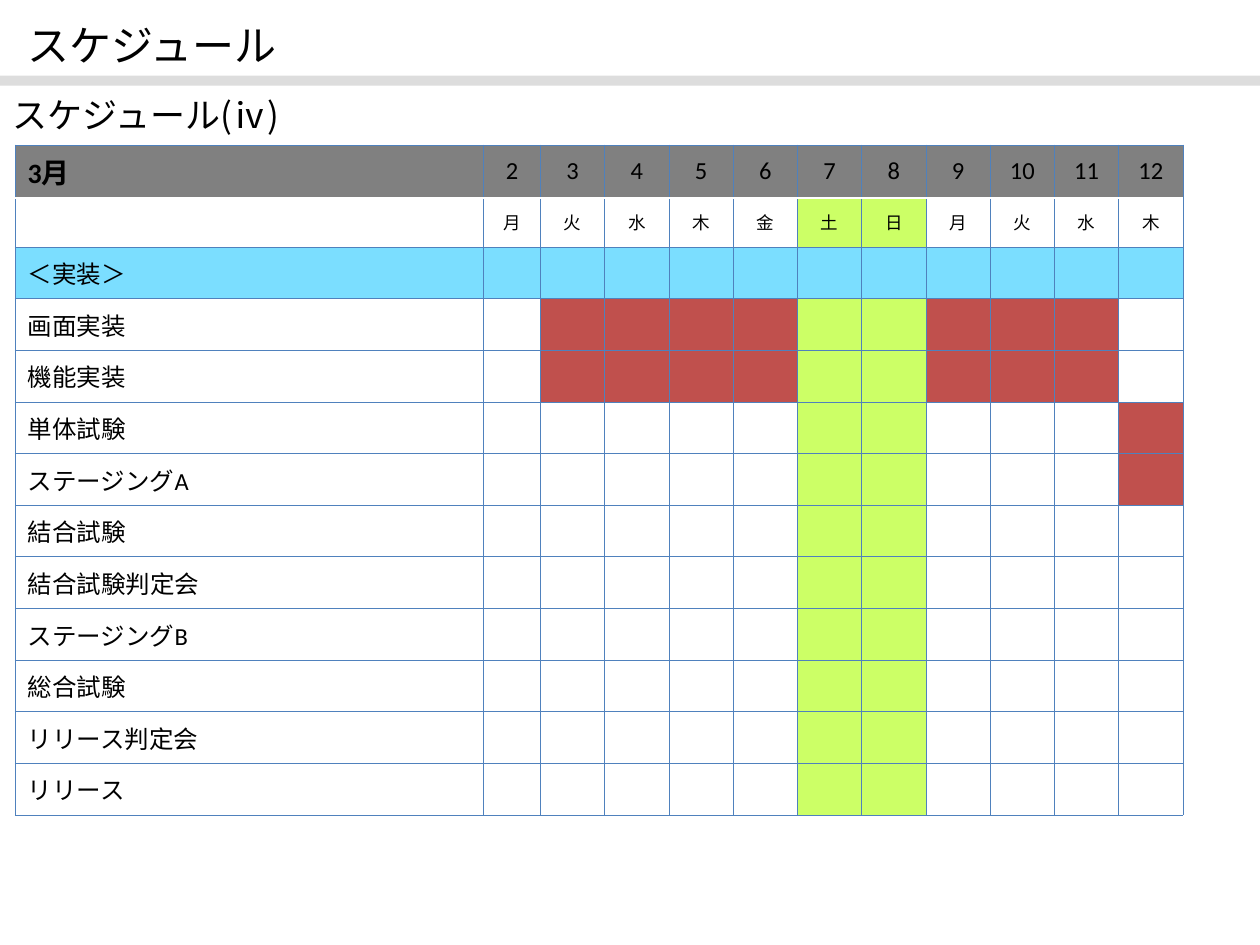
"""Builds the March schedule slide with its task calendar table."""
from dataclasses import dataclass

from lxml import etree
from pptx import Presentation
from pptx.dml.color import RGBColor
from pptx.enum.shapes import MSO_SHAPE
from pptx.enum.text import MSO_ANCHOR, MSO_AUTO_SIZE, PP_ALIGN
from pptx.oxml.ns import qn
from pptx.util import Inches, Pt

LEFT, CENTER = PP_ALIGN.LEFT, PP_ALIGN.CENTER
MIDDLE = MSO_ANCHOR.MIDDLE
NO_AUTOFIT = MSO_AUTO_SIZE.NONE
RECTANGLE = MSO_SHAPE.RECTANGLE
LATIN_FONT, JAPANESE_FONT = "Calibri", "Noto Sans CJK JP"
COLORS = {
    "text": "000000", "white": "FFFFFF", "header": "808080", "grid": "4F81BD",
    "section": "7BDEFF", "weekend": "CCFF66", "work": "C0504D", "rule": "DDDDDD",
}
DAYS = range(2, 13)
WEEKDAYS = "月火水木金土日"
WEEKEND = (7, 8)
BUILD_DAYS = (3, 4, 5, 6, 9, 10, 11)
COLUMN_WIDTHS = [3.72, 0.45] + [0.51] * 10
ROW_HEIGHTS = [0.41, 0.39] + [0.41] * 11


@dataclass
class Task:
    name: str
    work_days: tuple[int, ...] = ()


@dataclass
class CellStyle:
    fill: str = "white"
    size: float = 14
    bold: bool = False
    align: PP_ALIGN = LEFT
    top: str = "grid"
    bottom: str = "grid"


TASKS = [
    Task("画面実装", BUILD_DAYS),
    Task("機能実装", BUILD_DAYS),
    Task("単体試験", (12,)),
    Task("ステージングA", (12,)),
    Task("結合試験"),
    Task("結合試験判定会"),
    Task("ステージングB"),
    Task("総合試験"),
    Task("リリース判定会"),
    Task("リリース"),
]


def rgb(name: str) -> RGBColor:
    return RGBColor.from_string(COLORS[name])


def format_paragraph(paragraph, size: float, font_name: str, align=LEFT, bold=False) -> None:
    paragraph.alignment = align
    font = paragraph.font
    font.size, font.name, font.bold = Pt(size), font_name, bold
    font.color.rgb = rgb("text")
    defaults = paragraph._p.get_or_add_pPr().find(qn("a:defRPr"))
    etree.SubElement(defaults, qn("a:ea"), typeface=JAPANESE_FONT)


def add_border(cell, side: str, color: str) -> None:
    width = Pt(1.47 if color == "white" else 0.45)
    line = etree.SubElement(cell._tc.get_or_add_tcPr(), qn(f"a:ln{side}"), w=str(int(width)))
    fill = etree.SubElement(line, qn("a:solidFill"))
    etree.SubElement(fill, qn("a:srgbClr"), val=COLORS[color])


def fill_cell(cell, text: str, style: CellStyle) -> None:
    cell.text = text
    cell.vertical_anchor = MIDDLE
    for side, color in zip("LRTB", ("grid", "grid", style.top, style.bottom)):
        add_border(cell, side, color)
    cell.fill.solid()
    cell.fill.fore_color.rgb = rgb(style.fill)
    paragraph = cell.text_frame.paragraphs[0]
    format_paragraph(paragraph, style.size, LATIN_FONT, style.align, style.bold)
    paragraph.space_before = Pt(style.size / 4)


def day_fill(day: int, work_days: tuple[int, ...] = ()) -> str:
    if day in WEEKEND:
        return "weekend"
    return "work" if day in work_days else "white"


def add_calendar(slide) -> None:
    calendar = slide.shapes.add_table(
        len(ROW_HEIGHTS), len(COLUMN_WIDTHS), Inches(0.12), Inches(1.15),
        Inches(sum(COLUMN_WIDTHS)), Inches(sum(ROW_HEIGHTS))).table
    calendar.first_row = calendar.horz_banding = False
    for column, width in zip(calendar.columns, COLUMN_WIDTHS):
        column.width = Inches(width)
    for row, height in zip(calendar.rows, ROW_HEIGHTS):
        row.height = Inches(height)

    fill_cell(calendar.cell(0, 0), "3月", CellStyle("header", 16, bold=True, bottom="white"))
    fill_cell(calendar.cell(1, 0), "", CellStyle(size=10, top="white"))
    fill_cell(calendar.cell(2, 0), "＜実装＞", CellStyle("section"))
    for column, day in enumerate(DAYS, start=1):
        fill_cell(calendar.cell(0, column), str(day),
                  CellStyle("header", align=CENTER, bottom="white"))
        fill_cell(calendar.cell(1, column), WEEKDAYS[(day - DAYS[0]) % 7],
                  CellStyle(day_fill(day), 10, align=CENTER, top="white"))
        fill_cell(calendar.cell(2, column), "", CellStyle("section"))
    for row, task in enumerate(TASKS, start=3):
        fill_cell(calendar.cell(row, 0), task.name, CellStyle())
        for column, day in enumerate(DAYS, start=1):
            fill_cell(calendar.cell(row, column), "", CellStyle(day_fill(day, task.work_days)))


def set_heading(heading, text: str, size: float, wrap: bool) -> None:
    frame = heading.text_frame
    frame.text = text
    frame.auto_size, frame.word_wrap, frame.vertical_anchor = NO_AUTOFIT, wrap, MIDDLE
    format_paragraph(frame.paragraphs[0], size, JAPANESE_FONT)


def main() -> None:
    presentation = Presentation()
    presentation.slide_width, presentation.slide_height = Inches(10), Inches(7.5)
    slide = presentation.slides.add_slide(presentation.slide_layouts[5])
    add_calendar(slide)

    title = slide.shapes.title
    title.left, title.top = Inches(0.12), Inches(0.05)
    title.width, title.height = Inches(7.01), Inches(0.61)
    set_heading(title, "スケジュール", 24, wrap=True)

    rule = slide.shapes.add_shape(RECTANGLE, 0, Inches(0.6), Inches(10.04), Inches(0.08))
    rule.shadow.inherit = False
    rule.fill.solid()
    rule.fill.fore_color.rgb = rgb("rule")
    rule.line.fill.background()

    subtitle = slide.shapes.add_textbox(0, Inches(0.68), Inches(2.36), Inches(0.45))
    set_heading(subtitle, "スケジュール(ⅳ)", 20, wrap=False)
    presentation.save("out.pptx")


if __name__ == "__main__":
    main()
